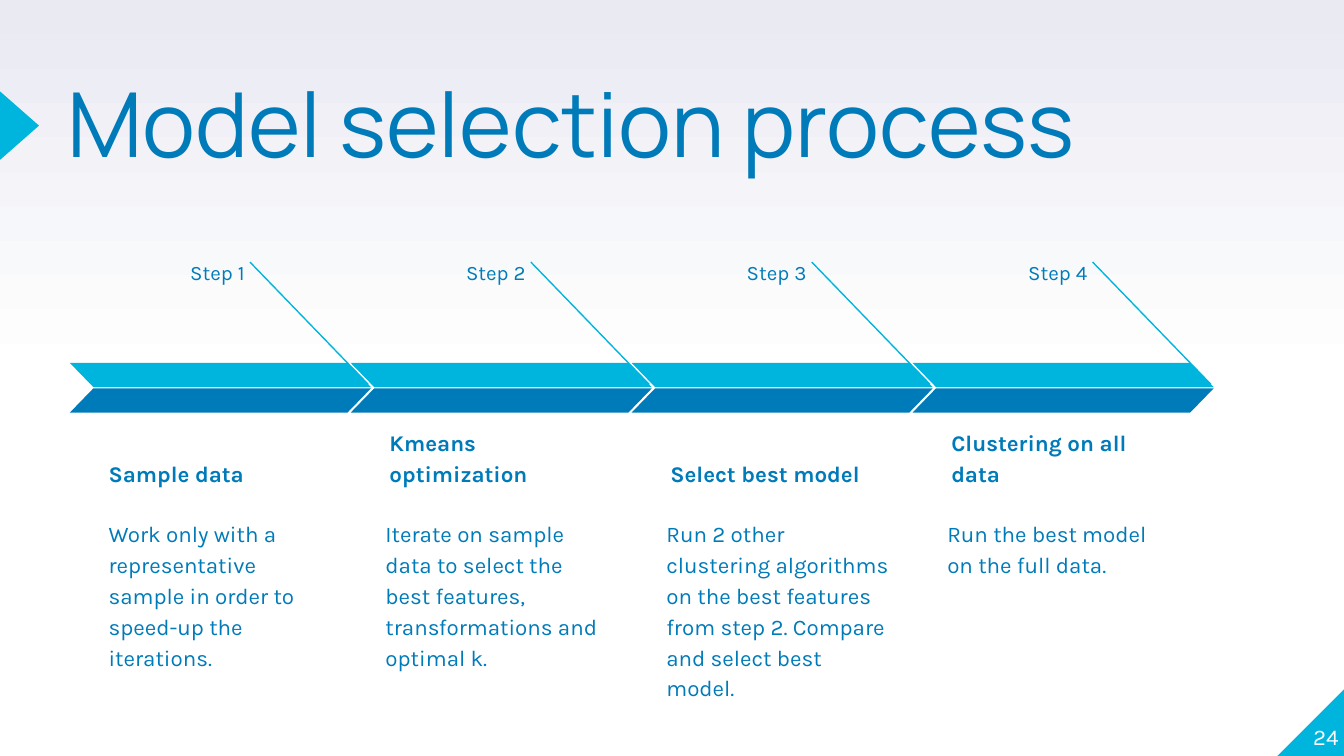
from lxml import etree
from pptx import Presentation
from pptx.dml.color import RGBColor
from pptx.enum.shapes import MSO_CONNECTOR, MSO_SHAPE
from pptx.enum.text import MSO_ANCHOR, PP_ALIGN
from pptx.oxml.ns import qn
from pptx.util import Inches, Pt

LEFT, RIGHT = PP_ALIGN.LEFT, PP_ALIGN.RIGHT
TOP, BOTTOM = MSO_ANCHOR.TOP, MSO_ANCHOR.BOTTOM
PARALLELOGRAM = MSO_SHAPE.PARALLELOGRAM
TRIANGLE = MSO_SHAPE.ISOSCELES_TRIANGLE
CORNER = MSO_SHAPE.RIGHT_TRIANGLE
STRAIGHT = MSO_CONNECTOR.STRAIGHT

SLIDE_WIDTH, SLIDE_HEIGHT = Inches(10), Inches(10) * 9 // 16
TITLE = "Model selection process"
PAGE_NUMBER = "24"
# label, heading, description, offset of the description from the step's left
STEPS = [
    ("Step 1", "Sample data",
     "Work only with a representative sample in order to speed-up the iterations.", 0.19),
    ("Step 2", "Kmeans optimization",
     "Iterate on sample data to select the best features, transformations and optimal k.", 0.16),
    ("Step 3", "Select best model",
     "Run 2 other clustering algorithms on the best features from step 2. "
     "Compare and select best model.", 0.16),
    ("Step 4", "Clustering on all data",
     "Run the best model on the full data.", 0.16),
]
COLORS = {"cyan": "00B5DD", "blue": "007BB9", "white": "FFFFFF", "lavender": "E9EAF2"}

STEP_LEFT, STEP_PITCH = 0.52, 2.09
BAR_WIDTH, BAR_HEIGHT, BAR_SKEW = 2.24, 0.18, 0.97

FORMATS = {
    "title": {"font": {"name": "Manrope", "size": Pt(48)},
              "paragraph": {"alignment": LEFT, "line_spacing": 0.8}},
    "page": {"font": {"name": "Karla", "size": Pt(12)}, "color": "white",
             "paragraph": {"alignment": RIGHT}, "anchor": BOTTOM},
    "label": {"font": {"name": "Karla", "size": Pt(11)}, "inset": 0.1,
              "paragraph": {"alignment": RIGHT, "line_spacing": 1.15, "space_after": Pt(16)}},
    "heading": {"font": {"name": "Karla", "size": Pt(12), "bold": True}, "inset": 0.1,
                "paragraph": {"alignment": LEFT, "line_spacing": 1.15}, "anchor": BOTTOM},
    "description": {"font": {"name": "Karla", "size": Pt(12)}, "inset": 0.1,
                    "paragraph": {"alignment": LEFT, "line_spacing": 1.15,
                                  "space_after": Pt(16)}},
}


def rgb(color):
    return RGBColor.from_string(COLORS[color])


def set_all(target, values):
    for name, value in values.items():
        setattr(target, name, value)


def add_text(shapes, text, box, style):
    style = FORMATS[style]
    frame = shapes.add_textbox(*map(Inches, box)).text_frame
    inset = Inches(style.get("inset", 0))
    set_all(frame, {"word_wrap": True, "vertical_anchor": style.get("anchor", TOP),
                    "margin_left": inset, "margin_right": inset,
                    "margin_top": inset, "margin_bottom": inset})
    paragraph = frame.paragraphs[0]
    set_all(paragraph, style["paragraph"])
    run = paragraph.add_run()
    run.text = text
    set_all(run.font, style["font"])
    run.font.color.rgb = rgb(style.get("color", "blue"))


def add_solid(shapes, preset, box, color, flip=False):
    """Add a borderless preset shape, mirrored left to right if flip is set."""
    shape = shapes.add_shape(preset, *map(Inches, box))
    shape.shadow.inherit = False
    shape.fill.solid()
    shape.fill.fore_color.rgb = rgb(color)
    shape.line.fill.background()
    if flip:
        shape.element.spPr.find(qn("a:xfrm")).set("flipH", "1")
    return shape


def add_pointer(shapes, start, end):
    pointer = shapes.add_connector(STRAIGHT, *map(Inches, start + end))
    pointer.line.color.rgb = rgb("cyan")
    pointer.line.width = Pt(0.75)
    etree.SubElement(pointer.element.spPr, qn("a:effectLst"))


def add_step(slide, index, label, heading, description, description_offset):
    shapes = slide.shapes.add_group_shape().shapes
    left = STEP_LEFT + index * STEP_PITCH
    add_text(shapes, label, (left + 0.64, 1.81, 0.76, 0.29), "label")
    add_text(shapes, heading, (left + 0.19, 3.17, 1.84, 0.55), "heading")
    add_text(shapes, description, (left + description_offset, 3.74, 1.87, 0.9), "description")
    add_pointer(shapes, (left + 1.34, 1.95), (left + 2.22, 2.86))
    for top, color, flip in ((2.7, "cyan", True), (2.89, "blue", False)):
        bar = add_solid(shapes, PARALLELOGRAM, (left, top, BAR_WIDTH, BAR_HEIGHT), color, flip)
        bar.adjustments[0] = BAR_SKEW


def set_background(slide):
    fill = slide.background.fill
    fill.gradient()
    fill.gradient_angle = 90
    for stop, position, color in zip(fill.gradient_stops, (0.5, 1), ("white", "lavender")):
        stop.position = position
        stop.color.rgb = rgb(color)


def main():
    deck = Presentation()
    deck.slide_width, deck.slide_height = SLIDE_WIDTH, SLIDE_HEIGHT
    slide = deck.slides.add_slide(deck.slide_layouts[6])
    set_background(slide)
    add_solid(slide.shapes, CORNER, (9.5, 5.12, 0.51, 0.51), "cyan", flip=True)
    marker = add_solid(slide.shapes, TRIANGLE, (-0.11, 0.79, 0.51, 0.29), "cyan")
    marker.rotation = 90
    add_text(slide.shapes, TITLE, (0.5, 0.66, 8.51, 1.18), "title")
    add_text(slide.shapes, PAGE_NUMBER, (9.46, 5.07, 0.5, 0.51), "page")
    for index, step in enumerate(STEPS):
        add_step(slide, index, *step)
    deck.save("out.pptx")


if __name__ == "__main__":
    main()
